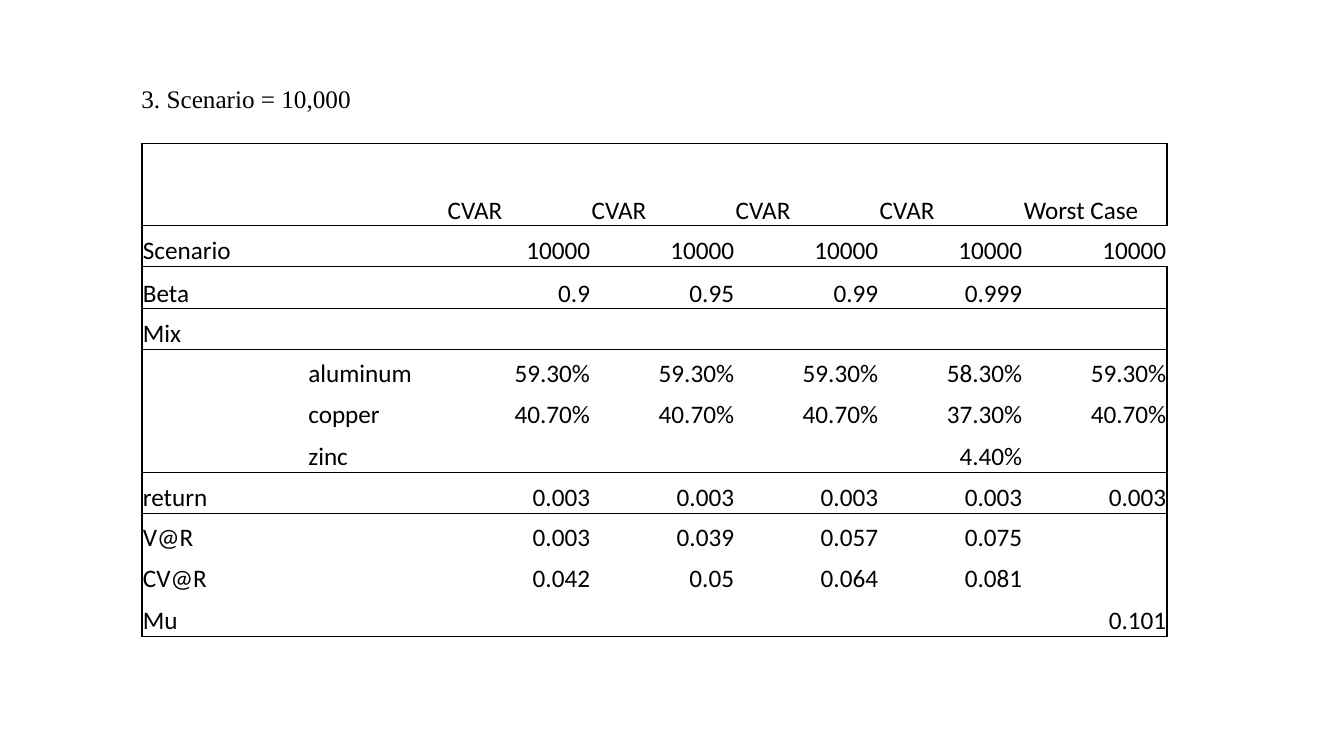
"""Build a slide with the portfolio results for 10,000 scenarios."""
import pptx
import pptx.dml.color
import pptx.enum.text
import pptx.oxml
import pptx.oxml.ns
import pptx.util

Cm = pptx.util.Cm
ALIGN = pptx.enum.text.PP_ALIGN
ANCHOR = pptx.enum.text.MSO_ANCHOR

BLACK = "000000"
PLAIN_STYLE = "{2D5ABB26-0587-4C30-8999-92F81FD0307C}"
COLUMN_WIDTHS = [4.17, 3.51] + [3.63] * 5
ROW_HEIGHTS = [2.08, 1.02, 1.07, 1.02, 1.02, 1.02, 1.07, 1.02, 1.02, 1.02, 1.07]
RESULTS = [
    ["", "", "CVAR", "CVAR", "CVAR", "CVAR", "Worst Case"],
    ["Scenario", "", "10000", "10000", "10000", "10000", "10000"],
    ["Beta", "", "0.9", "0.95", "0.99", "0.999", ""],
    ["Mix", "", "", "", "", "", ""],
    ["", "aluminum", "59.30%", "59.30%", "59.30%", "58.30%", "59.30%"],
    ["", "copper", "40.70%", "40.70%", "40.70%", "37.30%", "40.70%"],
    ["", "zinc", "", "", "", "4.40%", ""],
    ["return", "", "0.003", "0.003", "0.003", "0.003", "0.003"],
    ["V@R", "", "0.003", "0.039", "0.057", "0.075", ""],
    ["CV@R", "", "0.042", "0.05", "0.064", "0.081", ""],
    ["Mu", "", "", "", "", "", "0.101"],
]
SECTION_ENDS = {0, 2, 6, 10}
OPEN_RIGHT_ROW = 1


def hex_color(value):
    """Return the colour for a hex string."""
    return pptx.dml.color.RGBColor.from_string(value)


def write_text(frame, text, font="Calibri", size=18, color=BLACK, align=ALIGN.LEFT):
    """Write one formatted paragraph into a text frame."""
    para = frame.paragraphs[0]
    para.alignment = align
    span = para.add_run()
    span.text = text
    span.font.name = font
    span.font.size = pptx.util.Pt(size)
    span.font.color.rgb = hex_color(color)


def add_title(slide, text, left, top, width, height):
    """Place the title placeholder and fill it."""
    box = slide.shapes.title
    box.left, box.top, box.width, box.height = map(Cm, (left, top, width, height))
    frame = box.text_frame
    frame.word_wrap = True
    frame.auto_size = pptx.enum.text.MSO_AUTO_SIZE.NONE
    frame.vertical_anchor = ANCHOR.BOTTOM
    write_text(frame, text, font="Times New Roman")


def draw_borders(cell, sides, color=BLACK, width=1):
    """Draw the given sides of a cell, listed in the order L, R, T, B."""
    properties = cell._tc.get_or_add_tcPr()
    for side in sides:
        properties.append(pptx.oxml.parse_xml(
            f'<a:ln{side} {pptx.oxml.ns.nsdecls("a")} w="{pptx.util.Pt(width)}">'
            f'<a:solidFill><a:srgbClr val="{color}"/></a:solidFill></a:ln{side}>'
        ))


def border_sides(row, column):
    """Return the sides of a cell that carry a rule."""
    rules = {
        "L": column == 0,
        "R": column == len(COLUMN_WIDTHS) - 1 and row != OPEN_RIGHT_ROW,
        "T": row == 0 or row - 1 in SECTION_ENDS,
        "B": row in SECTION_ENDS,
    }
    return [side for side, drawn in rules.items() if drawn]


def format_cell(cell, sides):
    """Set margins, anchor, borders and an empty fill."""
    cell.margin_left = cell.margin_right = cell.margin_top = Cm(0.02)
    cell.margin_bottom = 0
    cell.vertical_anchor = ANCHOR.BOTTOM
    draw_borders(cell, sides)
    cell.fill.background()


def add_results_table(slide, left, top):
    """Add the table of results with ruled sections."""
    table = slide.shapes.add_table(
        len(RESULTS), len(COLUMN_WIDTHS), Cm(left), Cm(top),
        Cm(sum(COLUMN_WIDTHS)), Cm(sum(ROW_HEIGHTS)),
    ).table
    table.first_row = table.horz_banding = False
    table._tbl.tblPr.find(pptx.oxml.ns.qn("a:tableStyleId")).text = PLAIN_STYLE
    for column, width in zip(table.columns, COLUMN_WIDTHS):
        column.width = Cm(width)
    for row, height in zip(table.rows, ROW_HEIGHTS):
        row.height = Cm(height)
    for row, values in enumerate(RESULTS):
        if not values[1]:
            table.cell(row, 0).merge(table.cell(row, 1))
        for column, value in enumerate(values):
            cell = table.cell(row, column)
            format_cell(cell, border_sides(row, column))
            if value:
                numeric = row > 0 and column > 1
                write_text(cell.text_frame, value,
                           align=ALIGN.RIGHT if numeric else ALIGN.LEFT)


def main():
    """Build and save the deck."""
    deck = pptx.Presentation()
    deck.slide_width, deck.slide_height = Cm(33.87), Cm(19.05)
    slide = deck.slides.add_slide(deck.slide_layouts.get_by_name("Title Only"))
    add_title(slide, "3. Scenario = 10,000", 3.31, 1.12, 16.94, 1.88)
    add_results_table(slide, 3.58, 3.61)
    deck.save("out.pptx")


if __name__ == "__main__":
    main()
